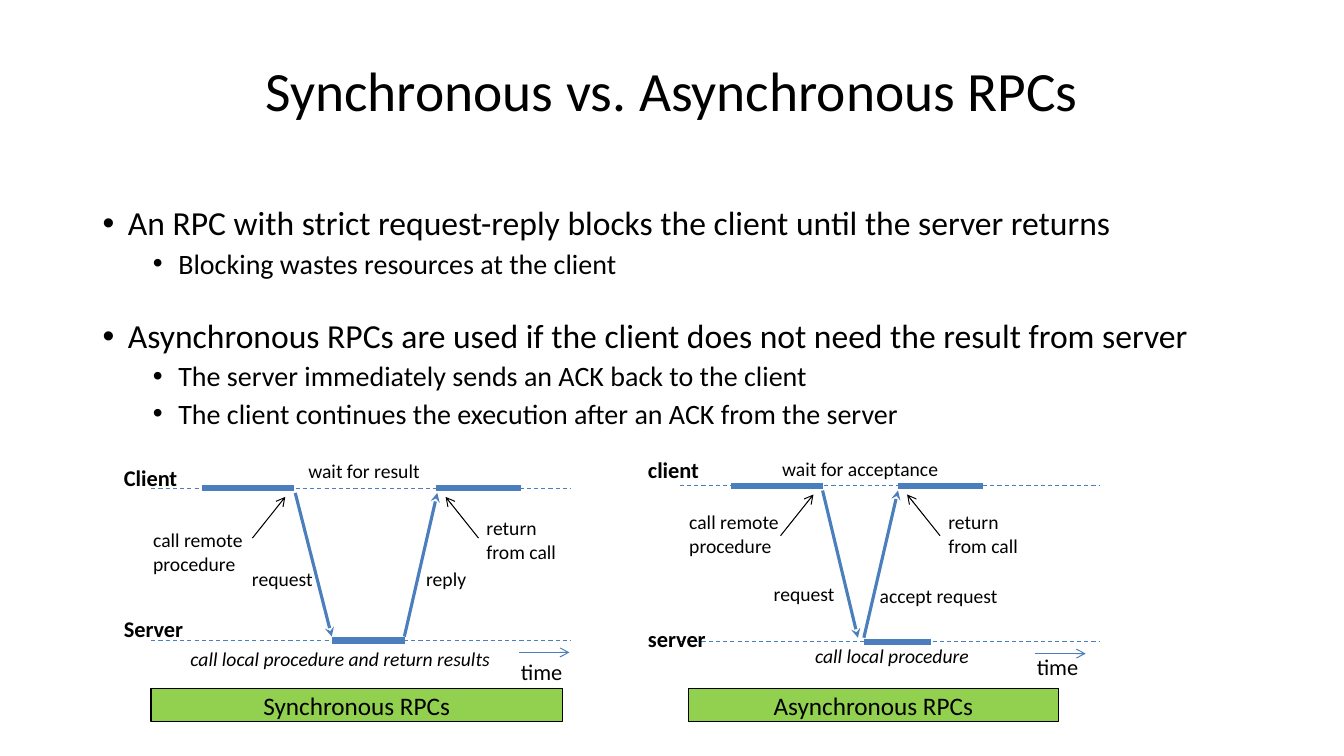
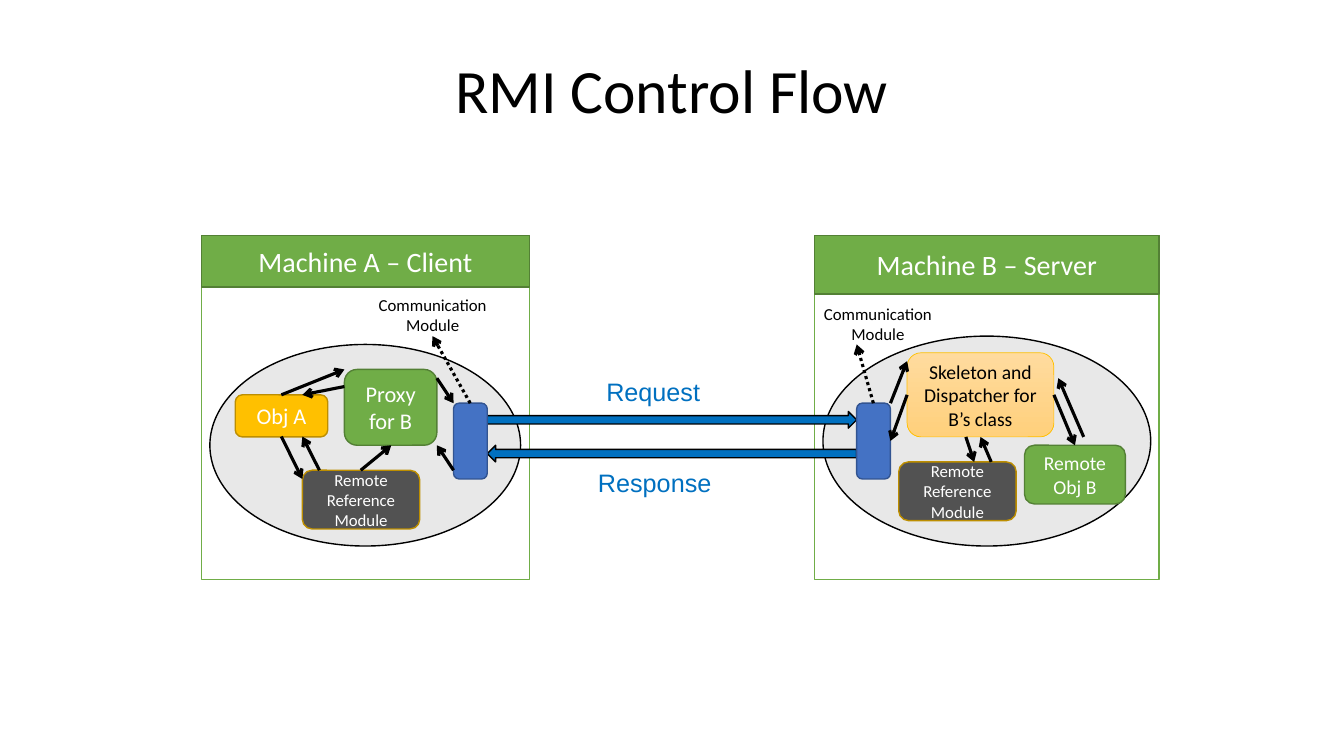
from dataclasses import dataclass

from lxml.etree import SubElement
from pptx import Presentation
from pptx.dml.color import RGBColor
from pptx.enum.dml import MSO_LINE
from pptx.enum.shapes import MSO_CONNECTOR, MSO_SHAPE
from pptx.enum.text import MSO_ANCHOR, MSO_AUTO_SIZE, PP_ALIGN
from pptx.oxml.ns import qn
from pptx.util import Cm, Pt

COLORS = {
    "black": "000000", "white": "FFFFFF", "timeline": "4B7EBC", "banner": "92D050",
    "green": "70AD47", "dark green": "538035", "gold": "FFC000", "dark gold": "BD8E00",
    "blue": "4472C4", "dark blue": "325491", "message": "0070C0", "process": "8C8C8C",
    "slate": "525252", "peach": "FFDB9E", "dark peach": "FFD07C",
}
BODY_FONT = "Calibri"
NODE = MSO_SHAPE.FLOWCHART_ALTERNATE_PROCESS
LEVELS = ((24, 0.64, 10), (20, 1.91, 5))
GROUP_GAP = 28


@dataclass
class Timeline:
    """Positions, in cm, and words of one RPC timing diagram."""
    start: float
    end: float
    client: float
    server: float
    call: tuple
    serve: tuple
    resume: tuple
    request: tuple
    reply: tuple
    time: float
    banner: tuple
    labels: list
    names: list
    result: tuple


SYNCHRONOUS = Timeline(
    start=3.81, end=14.39, client=12.3, server=16.14,
    call=(5.08, 7.42), serve=(8.36, 10.21), resume=(11, 13.13),
    request=(7.44, 8.36), reply=(10.19, 11.02), time=13.08,
    banner=("Synchronous RPCs", 3.81, 10.36),
    labels=[("call remote procedure", 3.61, 13.18, 2.97),
            ("return from call", 12.01, 12.88, 2.42),
            ("wait for result", 7.52, 11.43, 4.01),
            ("request", 6.1, 14.17, 2.74),
            ("reply", 10.49, 14.17, 1.91)],
    names=[("Client", 2.87, 11.58), ("Server", 2.87, 15.37), ("time", 12.88, 16.46)],
    result=("call local procedure and return results", 4.55, 16.18, 9.19),
)
ASYNCHRONOUS = Timeline(
    start=17.13, end=27.71, client=12.24, server=16.17,
    call=(18.42, 20.73), serve=(21.77, 23.47), resume=(22.63, 24.77),
    request=(20.73, 21.62), reply=(21.77, 22.63), time=26.09,
    banner=("Asynchronous RPCs", 17.35, 9.32),
    labels=[("call remote procedure", 17.12, 12.73, 2.97),
            ("return from call", 23.65, 12.73, 2.44),
            ("wait for acceptance", 19.46, 11.38, 5.51),
            ("request", 19.25, 14.55, 2.74),
            ("accept request", 21.92, 14.58, 4.65)],
    names=[("client", 16.08, 11.38), ("server", 16.08, 15.62), ("time", 25.88, 16.33)],
    result=("call local procedure", 20.29, 16.1, 5.08),
)

BLOCKING_POINTS = [
    (0, "An RPC with strict request-reply blocks the client until the server returns"),
    (1, "Blocking wastes resources at the client"),
    (0, "Asynchronous RPCs are used if the client does not need the result from server"),
    (1, "The server immediately sends an ACK back to the client"),
    (1, "The client continues the execution after an ACK from the server"),
]

MACHINES = [
    ("Machine B – Server", 20.53, 8.68, 1.48, (20.74, 8.47, 8.26, 5.29)),
    ("Machine A – Client", 5.08, 8.26, 1.3, (5.29, 8.68, 7.83, 5.08)),
]
COMPONENTS = [
    ("Proxy for B", (8.68, 9.31, 2.33, 1.91), "green", "dark green", 16),
    ("", (11.43, 10.16, 0.85, 1.91), "blue", "dark blue", 12),
    ("", (21.59, 10.16, 0.85, 1.91), "blue", "dark blue", 12),
    ("Remote Obj B", (25.82, 11.22, 2.54, 1.48), "green", "dark green", 14),
    ("Obj A", (5.93, 9.95, 2.33, 1.06), "gold", "dark gold", 16),
    ("Remote Reference Module", (7.62, 11.85, 2.96, 1.48), "slate", "dark gold", 12),
    ("Remote Reference Module", (22.65, 11.64, 2.96, 1.48), "slate", "dark gold", 12),
]
MESSAGES = [
    ("Request", MSO_SHAPE.RIGHT_ARROW, 10.37, 15.03, 9.35),
    ("Response", MSO_SHAPE.LEFT_ARROW, 11.22, 14.82, 11.64),
]
MODULE_CAPTIONS = [(8.68, 7.41), (19.9, 7.62)]
CAPTION_POINTERS = [((11.85, 10.16), (10.9, 8.47)), ((22.01, 10.16), (21.59, 8.68))]
CALLS = [
    ((7.09, 11), (7.62, 12.07)), ((9.09, 11.85), (9.86, 11.22)),
    ((8.05, 11.85), (7.62, 11)), ((7.09, 9.95), (8.68, 9.31)),
    ((8.68, 9.74), (7.62, 9.95)), ((11.01, 9.53), (11.43, 10.16)),
    ((11.43, 11.85), (11.01, 11.22)), ((22.44, 10.16), (22.86, 9.1)),
    ((22.86, 9.95), (22.44, 11.11)), ((24.34, 11.01), (24.55, 11.64)),
    ((24.98, 11.64), (24.71, 11.01)), ((26.56, 9.95), (27.09, 11.22)),
    ((27.31, 11.01), (26.67, 9.53)),
]


def color(name):
    """Return the named colour."""
    return RGBColor.from_string(COLORS[name])


def cm_all(lengths):
    """Turn numbers into centimetre lengths."""
    return [Cm(length) for length in lengths]


def place(shape, box):
    """Move and size a shape to left, top, width, height."""
    shape.left, shape.top, shape.width, shape.height = cm_all(box)


def style(paragraph, size, ink="black", bold=False, italic=False, font=BODY_FONT):
    """Format the font of a whole paragraph."""
    paragraph.font.name = font
    paragraph.font.size = Pt(size)
    paragraph.font.bold = bold
    paragraph.font.italic = italic
    paragraph.font.color.rgb = color(ink)


def add_titled_slide(deck, layout, title, size):
    """Add a slide with the shared title style."""
    slide = deck.slides.add_slide(deck.slide_layouts[layout])
    heading = slide.shapes.title
    place(heading, (5.5, 0.89, 22.86, 2.92))
    heading.text_frame.text = title
    heading.text_frame.auto_size = MSO_AUTO_SIZE.NONE
    heading.text_frame.vertical_anchor = MSO_ANCHOR.MIDDLE
    paragraph = heading.text_frame.paragraphs[0]
    paragraph.alignment = PP_ALIGN.CENTER
    paragraph.line_spacing = 0.9
    style(paragraph, size)
    return slide


def fill_list(body, points):
    """Write a two-level bullet list into the body placeholder."""
    place(body, (2.33, 5.08, 28.58, 12.57))
    frame = body.text_frame
    frame.auto_size = MSO_AUTO_SIZE.NONE
    for index, (level, text) in enumerate(points):
        paragraph = frame.add_paragraph() if index else frame.paragraphs[0]
        paragraph.text = text
        paragraph.level = level
        size, margin, gap = LEVELS[level]
        style(paragraph, size)
        paragraph.line_spacing = 0.9
        paragraph.space_before = Pt(GROUP_GAP if index and level == 0 else gap)
        properties = paragraph._p.get_or_add_pPr()
        properties.set("marL", str(Cm(margin)))
        properties.set("indent", str(-Cm(0.64)))
        SubElement(properties, qn("a:buFont"), typeface="Arial")
        SubElement(properties, qn("a:buChar"), char="•")


def add_label(slide, text, box, size, centered=False, **font_style):
    """Add a wrapped text label."""
    frame = slide.shapes.add_textbox(*cm_all(box)).text_frame
    frame.word_wrap = True
    frame.text = text
    style(frame.paragraphs[0], size, **font_style)
    if centered:
        frame.vertical_anchor = MSO_ANCHOR.MIDDLE
        frame.paragraphs[0].alignment = PP_ALIGN.CENTER


def add_block(slide, kind, box, fill, outline, text="", size=12, ink="white", weight=1):
    """Add a filled, outlined shape with optional centred text."""
    block = slide.shapes.add_shape(kind, *cm_all(box))
    block.shadow.inherit = False
    block.fill.solid()
    block.fill.fore_color.rgb = color(fill)
    block.line.color.rgb = color(outline)
    block.line.width = Pt(weight)
    if text:
        block.text_frame.text = text
        block.text_frame.vertical_anchor = MSO_ANCHOR.MIDDLE
        block.text_frame.paragraphs[0].alignment = PP_ALIGN.CENTER
        style(block.text_frame.paragraphs[0], size, ink)
    return block


def add_line(slide, start, end, ink, weight, head=None, dash=None):
    """Add a straight line, with an arrowhead at its end if one is named."""
    line = slide.shapes.add_connector(MSO_CONNECTOR.STRAIGHT, *cm_all(start + end))
    line.line.color.rgb = color(ink)
    line.line.width = Pt(weight)
    if dash:
        line.line.dash_style = dash
    properties = line._element.spPr
    if head:
        SubElement(properties.find(qn("a:ln")), qn("a:tailEnd"), type=head)
    SubElement(properties, qn("a:effectLst"))


def add_timeline(slide, diagram):
    """Draw one RPC exchange between client and server over time."""
    client, server = diagram.client, diagram.server
    title, left, width = diagram.banner
    add_block(slide, MSO_SHAPE.RECTANGLE, (left, 17.35, width, 0.84),
              "banner", "black", title, 18, "black")
    for y in (client, server):
        add_line(slide, (diagram.start, y), (diagram.end, y), "timeline", 0.75,
                 dash=MSO_LINE.DASH)
    for (begin, end), y in ((diagram.call, client), (diagram.serve, server),
                            (diagram.resume, client)):
        add_line(slide, (begin, y), (end, y), "timeline", 4.5)
    for (begin, end), top, bottom in ((diagram.request, client + 0.12, server - 0.1),
                                      (diagram.reply, server - 0.1, client + 0.12)):
        add_line(slide, (begin, top), (end, bottom), "timeline", 2.25, "stealth")
    for x, side in ((diagram.call[1], -1), (diagram.resume[0], 1)):
        add_line(slide, (x + side * 1.06, client + 1.26), (x + side * 0.23, client + 0.22),
                 "black", 0.75, "arrow")
    add_line(slide, (diagram.time, server + 0.3), (diagram.time + 1.27, server + 0.3),
             "timeline", 0.75, "arrow")
    for text, x, y, width in diagram.labels:
        add_label(slide, text, (x, y, width, 0.86), 14)
    for text, x, y in diagram.names:
        add_label(slide, text, (x, y, 2.3, 0.94), 16, bold=text != "time")
    text, x, y, width = diagram.result
    add_label(slide, text, (x, y, width, 0.86), 14, italic=True)


def add_machine(slide, name, left, width, header_height, process_box):
    """Draw a machine frame with its header and its process ellipse."""
    add_block(slide, MSO_SHAPE.RECTANGLE, (left, 5.93, width, 8.68), "white", "green")
    add_block(slide, MSO_SHAPE.RECTANGLE, (left, 5.93, width, header_height),
              "green", "dark green", name, 20)
    process = add_block(slide, MSO_SHAPE.OVAL, process_box, "process", "black")
    tint = process._element.spPr.find(qn("a:solidFill")).find(qn("a:srgbClr"))
    SubElement(tint, qn("a:alpha"), val="20000")


def add_skeleton(slide):
    """Add the skeleton and dispatcher with its vertical gradient."""
    skeleton = add_block(slide, NODE, (22.86, 8.89, 3.7, 2.12), "peach", "gold",
                         "Skeleton and Dispatcher for B’s class", 14, "black", 0.5)
    skeleton.fill.gradient()
    skeleton.fill.gradient_angle = 270
    for stop, tone in zip(skeleton.fill.gradient_stops, ("peach", "dark peach")):
        stop.color.rgb = color(tone)


def build_rpc_slide(deck):
    """Build the comparison of synchronous and asynchronous RPCs."""
    slide = add_titled_slide(deck, 1, "Synchronous vs. Asynchronous RPCs", 39.6)
    fill_list(slide.placeholders[1], BLOCKING_POINTS)
    for diagram in (SYNCHRONOUS, ASYNCHRONOUS):
        add_timeline(slide, diagram)


def build_rmi_slide(deck):
    """Build the RMI control flow between two machines."""
    slide = add_titled_slide(deck, 5, "RMI Control Flow", 44)
    for machine in MACHINES:
        add_machine(slide, *machine)
    for text, direction, y, label_x, label_y in MESSAGES:
        add_block(slide, direction, (12.28, y, 9.31, 0.42), "message", "black")
        add_label(slide, text, (label_x, label_y, 3.6, 1.02), 18, ink="message", font="Arial")
    for text, box, fill, outline, size in COMPONENTS:
        add_block(slide, NODE, box, fill, outline, text, size)
    add_skeleton(slide)
    for x, y in MODULE_CAPTIONS:
        add_label(slide, "Communication Module", (x, y, 4.45, 1.06), 12, centered=True)
    for start, end in CAPTION_POINTERS:
        add_line(slide, start, end, "black", 2.25, "arrow", MSO_LINE.ROUND_DOT)
    for start, end in CALLS:
        add_line(slide, start, end, "black", 2.25, "arrow")


def main():
    """Build and save the deck."""
    deck = Presentation()
    deck.slide_width, deck.slide_height = Cm(33.87), Cm(19.05)
    build_rpc_slide(deck)
    build_rmi_slide(deck)
    deck.save("out.pptx")


if __name__ == "__main__":
    main()
